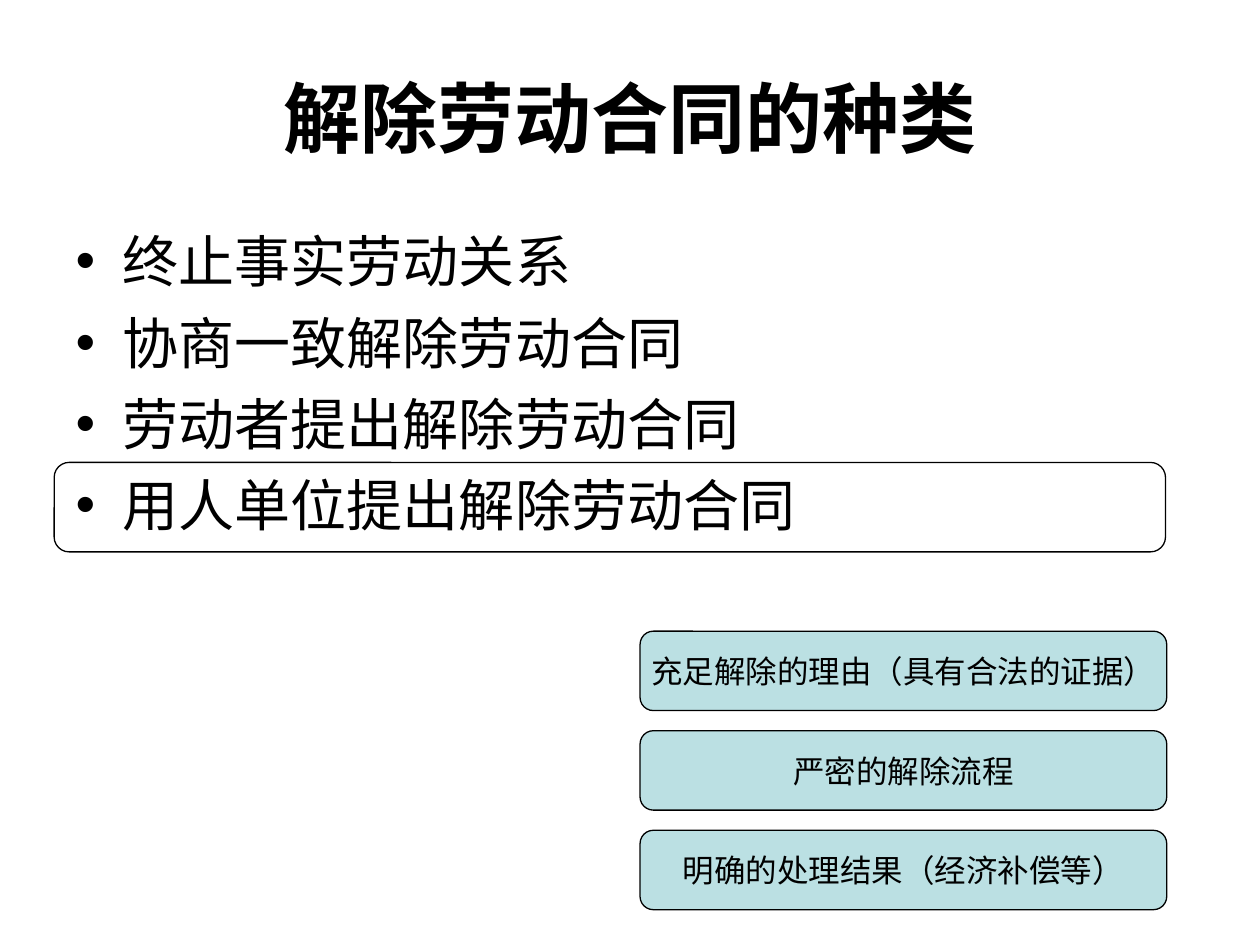
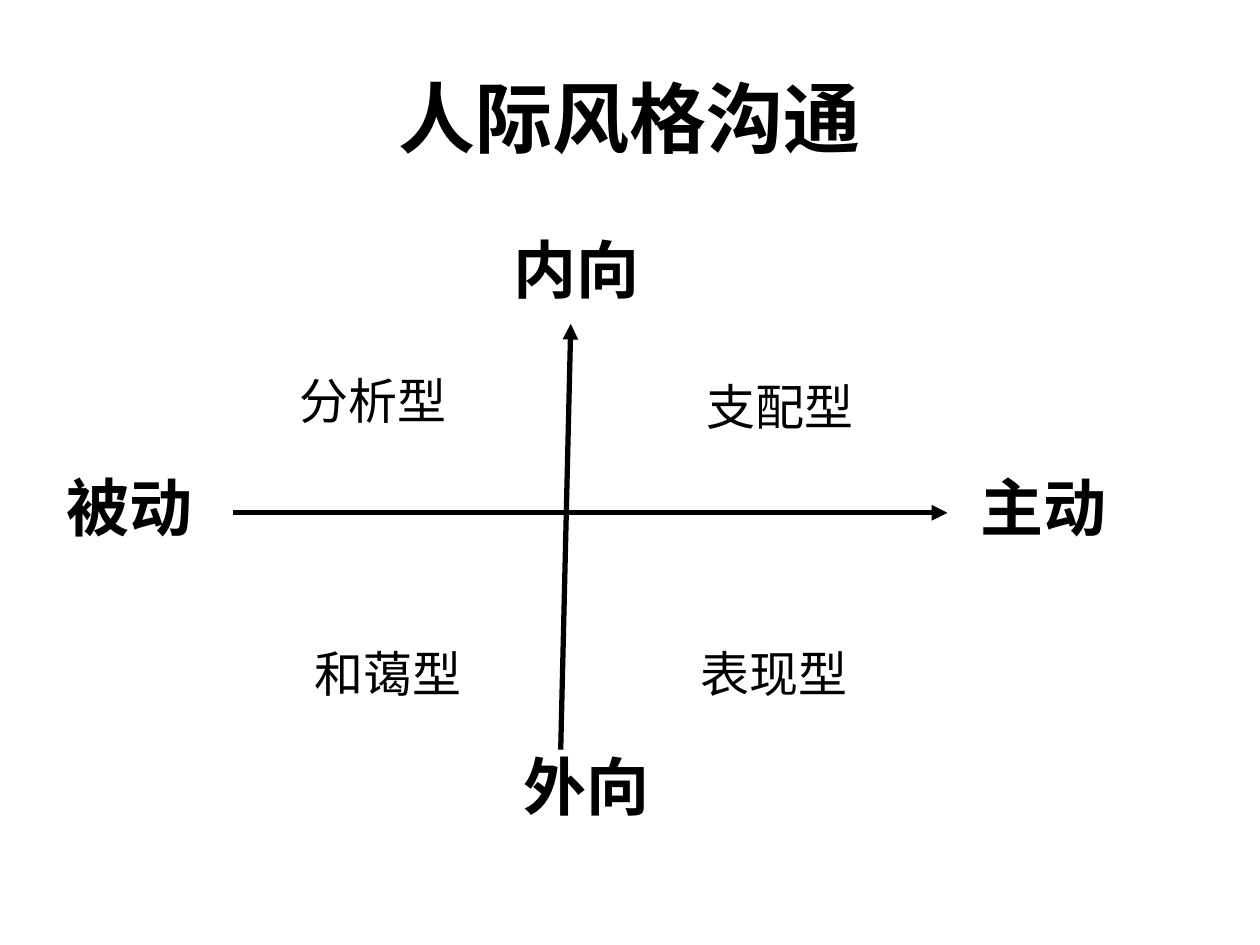
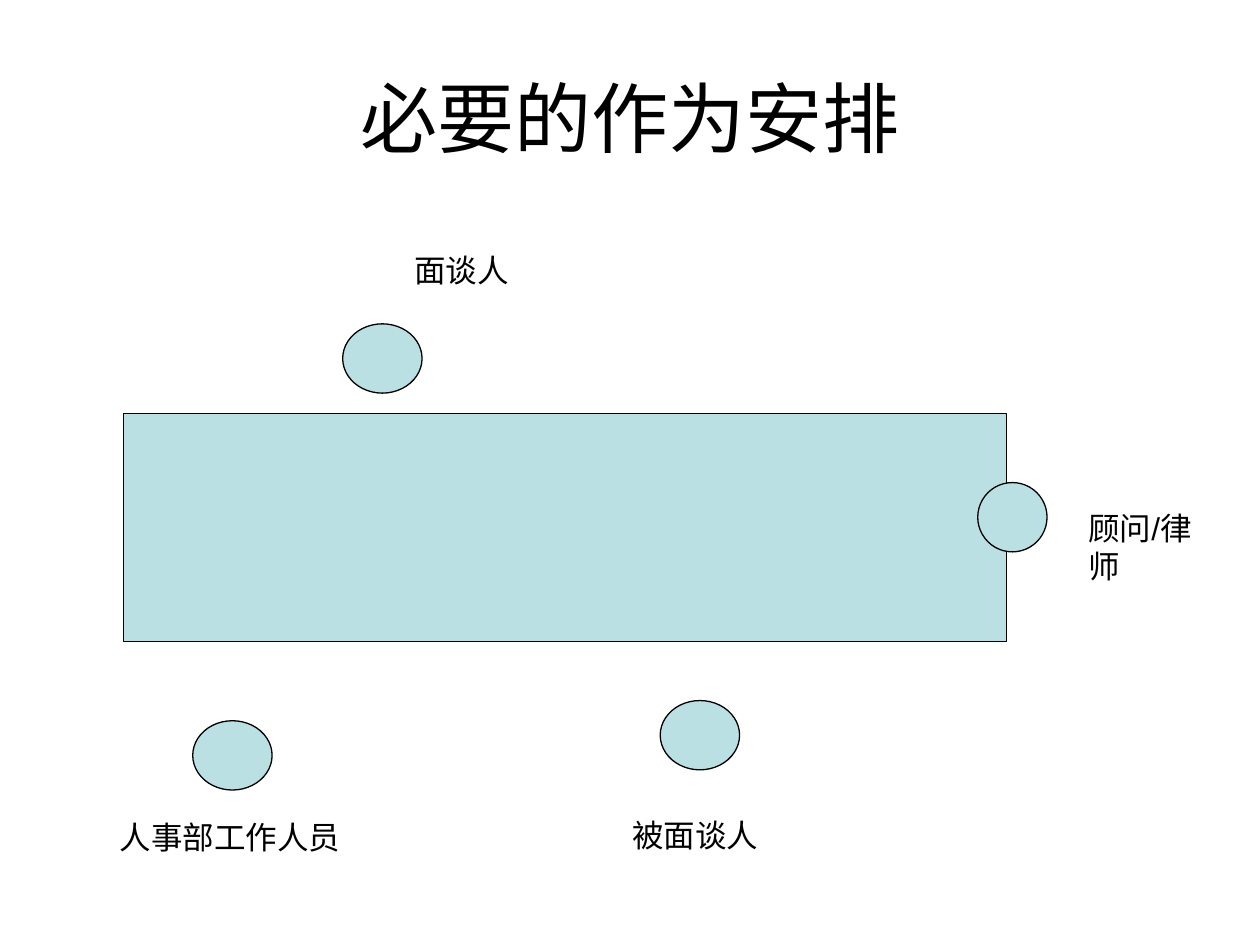
from lxml.etree import SubElement
from pptx import Presentation
from pptx.dml.color import RGBColor
from pptx.enum.shapes import MSO_CONNECTOR, MSO_SHAPE
from pptx.enum.text import MSO_ANCHOR, MSO_AUTO_SIZE, PP_ALIGN
from pptx.oxml.ns import qn
from pptx.util import Inches, Pt

BLACK = RGBColor(0x00, 0x00, 0x00)
TEAL = RGBColor(0xBB, 0xE0, 0xE3)
FONT = "Arial"
TITLE_CONTENT, TITLE_ONLY = 1, 5

# Slide 1
KINDS_TITLE = "解除劳动合同的种类"
KINDS = ["终止事实劳动关系", "协商一致解除劳动合同", "劳动者提出解除劳动合同", "用人单位提出解除劳动合同"]
HIGHLIGHT = (0.43, 3.67, 8.82, 0.71)
CONDITIONS = ["充足解除的理由（具有合法的证据）", "严密的解除流程", "明确的处理结果（经济补偿等）"]
CONDITION_BOX = (5.08, 5.01, 4.18, 0.63)
CONDITION_STEP = 0.79

# Slide 2: text, left, top, width
STYLES_TITLE = "人际风格沟通"
AXIS_ENDS = [
    ("被动", 0.43, 3.67, 1.26),
    ("主动", 7.68, 3.67, 1.26),
    ("内向", 3.98, 1.78, 2),
    ("外向", 4.06, 5.88, 2.05),
]
QUADRANTS = [
    ("分析型", 2.28, 2.89, 1.53),
    ("支配型", 5.51, 2.94, 1.38),
    ("和蔼型", 2.4, 5.06, 1.57),
    ("表现型", 5.46, 5.06, 1.9),
]
AXES = [(1.85, 4.07, 7.52, 4.07), (4.45, 5.95, 4.53, 2.57)]

# Slide 3
SEATING_TITLE = "必要的作为安排"
TABLE = (0.98, 3.28, 7.01, 1.81)
SEATS = [
    (2.72, 2.57, 0.63, 0.55),
    (7.76, 3.83, 0.55, 0.55),
    (1.53, 5.72, 0.63, 0.55),
    (5.24, 5.56, 0.63, 0.55),
]
SEAT_LABELS = [
    ("面谈人", 3.19, 1.94, 1.26, 0.4),
    ("顾问/律师", 8.54, 3.99, 1.26, 0.7),
    ("人事部工作人员", 0.85, 6.44, 2.49, 0.4),
    ("被面谈人", 4.92, 6.43, 1.62, 0.4),
]


def format_font(p, size, bold=False):
    values = {"name": FONT, "size": Pt(size), "bold": bold}
    for name, value in values.items():
        setattr(p.font, name, value)
    p.font.color.rgb = BLACK


def place(sp, box):
    for name, value in zip(("left", "top", "width", "height"), box):
        setattr(sp, name, Inches(value))


def add_titled_slide(prs, title, layout=TITLE_ONLY, bold=True):
    s = prs.slides.add_slide(prs.slide_layouts[layout])
    sp = s.shapes.title
    place(sp, (0.5, 0.3, 9, 1.25))
    tf = sp.text_frame
    tf.text = title
    tf.vertical_anchor = MSO_ANCHOR.MIDDLE
    tf.auto_size = MSO_AUTO_SIZE.NONE
    p = tf.paragraphs[0]
    p.alignment = PP_ALIGN.CENTER
    format_font(p, 44, bold)
    return s


def add_bullets(s, items):
    sp = s.placeholders[1]
    place(sp, (0.5, 1.75, 9, 4.95))
    tf = sp.text_frame
    tf.text = "\n".join(items)
    tf.auto_size = MSO_AUTO_SIZE.NONE
    for i, p in enumerate(tf.paragraphs):
        p.space_before = Pt(8 if i else 0)
        format_font(p, 32)


def add_box(s, kind, box, fill=TEAL, text=None):
    sp = s.shapes.add_shape(kind, *map(Inches, box))
    sp.shadow.inherit = False
    if fill is None:
        sp.fill.background()
    else:
        sp.fill.solid()
        sp.fill.fore_color.rgb = fill
    sp.line.color.rgb = BLACK
    sp.line.width = Pt(0.75)
    if text:
        tf = sp.text_frame
        tf.text = text
        tf.word_wrap = False
        tf.vertical_anchor = MSO_ANCHOR.MIDDLE
        p = tf.paragraphs[0]
        p.alignment = PP_ALIGN.CENTER
        format_font(p, 18)


def add_label(s, text, box, size, bold=False):
    tf = s.shapes.add_textbox(*map(Inches, box)).text_frame
    tf.text = text
    tf.word_wrap = True
    tf.auto_size = MSO_AUTO_SIZE.SHAPE_TO_FIT_TEXT
    format_font(tf.paragraphs[0], size, bold)


def add_arrow(s, ends):
    sp = s.shapes.add_connector(MSO_CONNECTOR.STRAIGHT, *map(Inches, ends))
    sp.line.color.rgb = BLACK
    sp.line.width = Pt(3)
    SubElement(sp.line._get_or_add_ln(), qn("a:tailEnd"), type="triangle")
    SubElement(sp._element.spPr, qn("a:effectLst"))


def build_kinds(prs):
    s = add_titled_slide(prs, KINDS_TITLE, TITLE_CONTENT)
    add_bullets(s, KINDS)
    add_box(s, MSO_SHAPE.ROUNDED_RECTANGLE, HIGHLIGHT, fill=None)
    left, top, width, height = CONDITION_BOX
    for i, text in enumerate(CONDITIONS):
        box = (left, top + i * CONDITION_STEP, width, height)
        add_box(s, MSO_SHAPE.ROUNDED_RECTANGLE, box, text=text)


def build_styles(prs):
    s = add_titled_slide(prs, STYLES_TITLE)
    for text, *box in AXIS_ENDS:
        add_label(s, text, (*box, 0.7), 36, bold=True)
    for ends in AXES:
        add_arrow(s, ends)
    for text, *box in QUADRANTS:
        add_label(s, text, (*box, 0.57), 28)


def build_seating(prs):
    s = add_titled_slide(prs, SEATING_TITLE, bold=False)
    add_box(s, MSO_SHAPE.RECTANGLE, TABLE)
    for seat in SEATS:
        add_box(s, MSO_SHAPE.OVAL, seat)
    for text, *box in SEAT_LABELS:
        add_label(s, text, box, 18)


def main():
    prs = Presentation()
    prs.slide_width, prs.slide_height = Inches(10), Inches(7.5)
    build_kinds(prs)
    build_styles(prs)
    build_seating(prs)
    prs.save("out.pptx")


if __name__ == "__main__":
    main()
